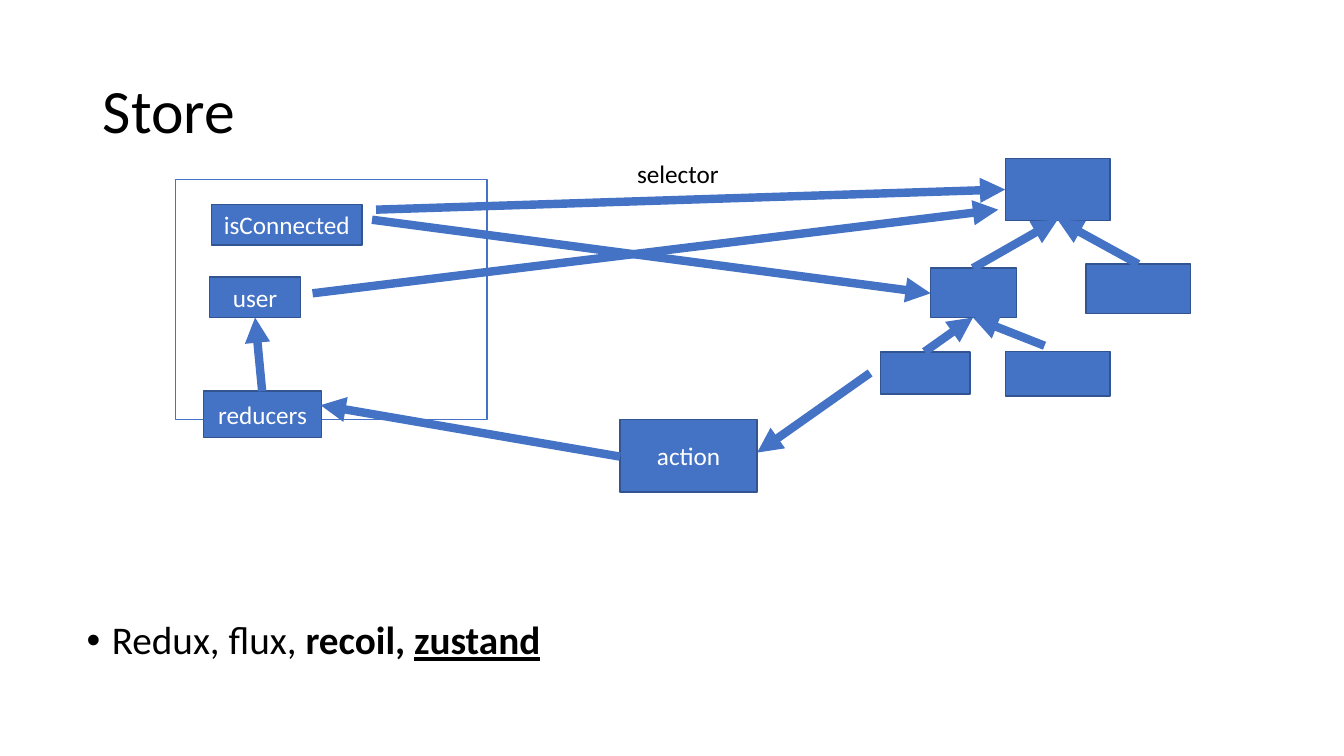
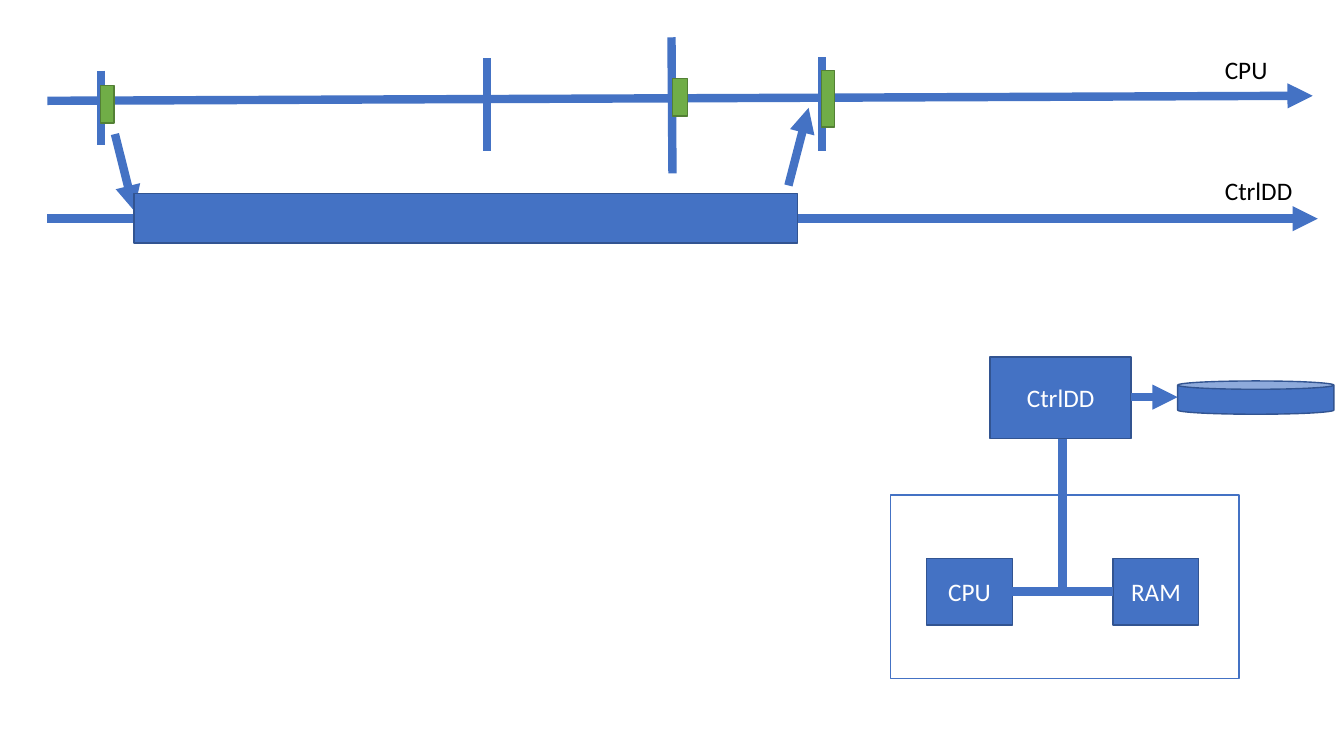
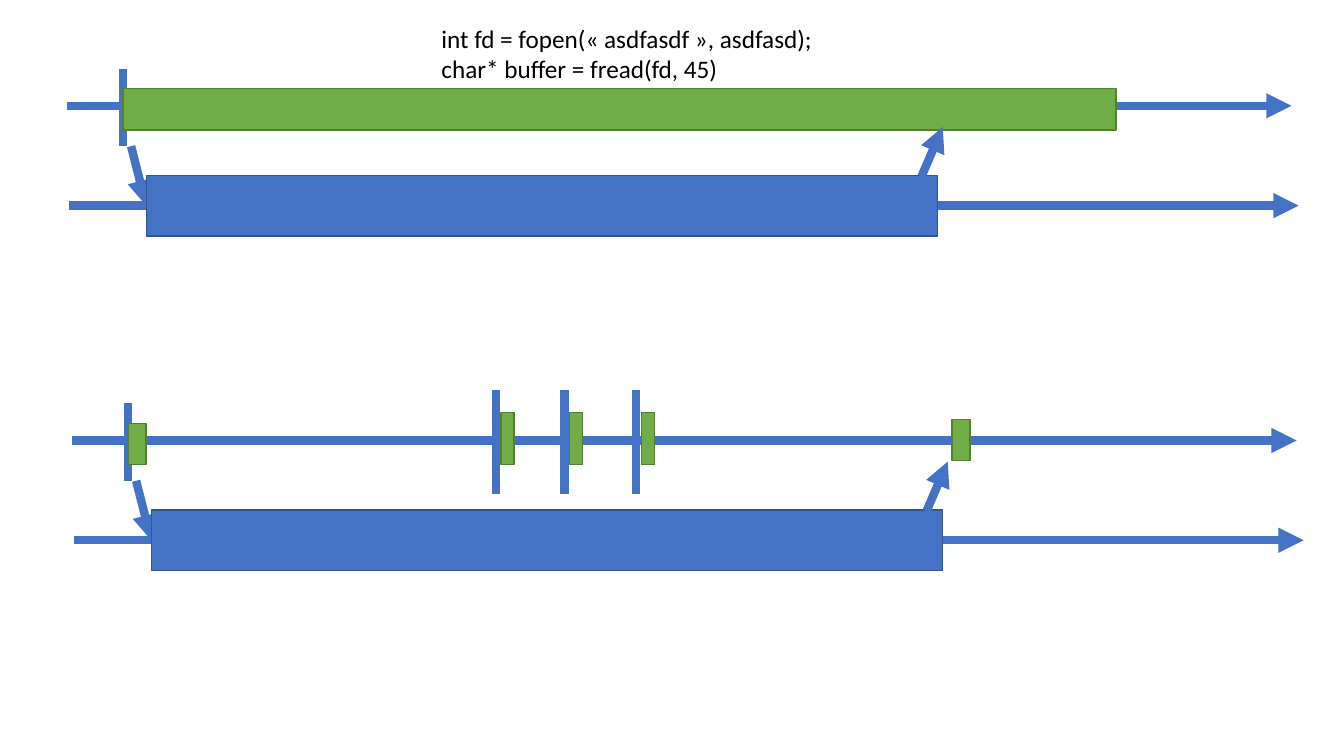
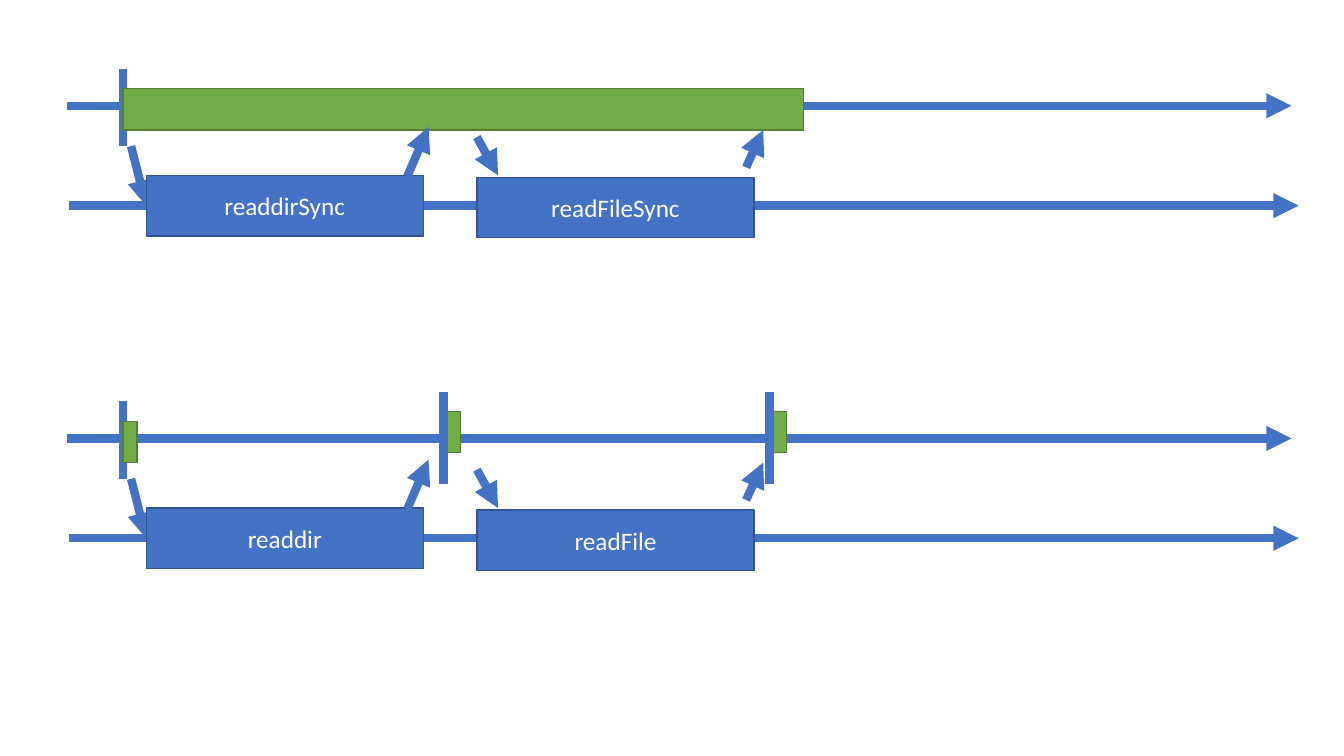
from lxml.etree import SubElement
from pptx import Presentation
from pptx.dml.color import RGBColor
from pptx.enum.shapes import MSO_CONNECTOR as Connector, MSO_SHAPE as Shape
from pptx.enum.text import MSO_ANCHOR as Anchor, MSO_AUTO_SIZE as AutoSize, PP_ALIGN as Align
from pptx.oxml.ns import qn
from pptx.util import Inches, Pt

COLORS = {
    "blue": "4472C4",
    "blue_edge": "325491",
    "green": "70AD47",
    "green_edge": "538035",
    "white": "FFFFFF",
    "black": "000000",
}
FONT = "Calibri"
TITLE_ONLY_CONTENT, BLANK = 1, 6


def color(name):
    """Return the named colour."""
    return RGBColor.from_string(COLORS[name])


def style_paragraph(paragraph, size, color_name, align=Align.LEFT):
    """Set the font and alignment of a paragraph."""
    paragraph.font.name = FONT
    paragraph.font.size = Pt(size)
    paragraph.font.color.rgb = color(color_name)
    paragraph.alignment = align


def place(shape, left, top, width, height):
    """Move and size a shape, in inches."""
    shape.left, shape.top = Inches(left), Inches(top)
    shape.width, shape.height = Inches(width), Inches(height)


def add_box(slide, left, top, width, height, text="", fill="blue", edge="blue_edge", kind=Shape.RECTANGLE):
    """Add a filled shape with an optional centred label."""
    shape = slide.shapes.add_shape(kind, Inches(left), Inches(top), Inches(width), Inches(height))
    shape.shadow.inherit = False
    shape.fill.solid()
    shape.fill.fore_color.rgb = color(fill)
    shape.line.color.rgb = color(edge)
    shape.line.width = Pt(1)
    if text:
        frame = shape.text_frame
        frame.text = text
        frame.vertical_anchor = Anchor.MIDDLE
        style_paragraph(frame.paragraphs[0], 18, "white", Align.CENTER)


def add_frame(slide, left, top, width, height):
    """Add a white box with a blue outline."""
    add_box(slide, left, top, width, height, fill="white", edge="blue")


def add_work(slide, left, top, width, height):
    """Add a green bar of processor time."""
    add_box(slide, left, top, width, height, fill="green", edge="green_edge")


def add_line(slide, x1, y1, x2, y2):
    """Add a thick blue line and return it."""
    line = slide.shapes.add_connector(Connector.STRAIGHT, Inches(x1), Inches(y1), Inches(x2), Inches(y2))
    line.line.color.rgb = color("blue")
    line.line.width = Pt(6)
    SubElement(line._element.spPr, qn("a:effectLst"))
    return line


def add_arrow(slide, x1, y1, x2, y2):
    """Add a thick blue line with an arrowhead at its end."""
    outline = add_line(slide, x1, y1, x2, y2)._element.spPr.find(qn("a:ln"))
    SubElement(outline, qn("a:tailEnd"), type="triangle")


def add_tick(slide, x, top, bottom):
    """Add a vertical event mark."""
    add_line(slide, x, top, x, bottom)


def add_label(slide, left, top, width, height, *lines):
    """Add unwrapped black text, one paragraph a line."""
    frame = slide.shapes.add_textbox(Inches(left), Inches(top), Inches(width), Inches(height)).text_frame
    frame.word_wrap = False
    frame.auto_size = AutoSize.SHAPE_TO_FIT_TEXT
    frame.text = "\n".join(lines)
    for paragraph in frame.paragraphs:
        style_paragraph(paragraph, 18, "black")


def add_timelines(slide, left, top, work_width, block_width, text=""):
    """Add a processor and a disk timeline with the first request and its reply."""
    add_arrow(slide, left, top, left + 12.15, top)
    add_arrow(slide, left + 0.02, top + 0.99, left + 12.22, top + 0.99)
    add_tick(slide, left + 0.56, top - 0.37, top + 0.4)
    add_work(slide, left + 0.56, top - 0.17, work_width, 0.41)
    add_arrow(slide, left + 0.64, top + 0.4, left + 0.79, top + 0.99)
    add_box(slide, left + 0.79, top + 0.69, block_width, 0.6, text)
    reply = left + block_width + 0.66
    add_arrow(slide, reply - 0.03, top + 0.7, reply + 0.18, top + 0.21)


def add_file_reading(slide, top, work_width, first_call, second_call):
    """Add timelines where two disk calls follow each other."""
    add_timelines(slide, 0.66, top, work_width, 2.75, first_call)
    add_box(slide, 4.73, top + 0.71, 2.75, 0.6, second_call)
    add_arrow(slide, 4.73, top + 0.31, 4.94, top + 0.69)
    add_arrow(slide, 7.4, top + 0.61, 7.57, top + 0.24)


def build_store(presentation):
    """Build the store diagram slide."""
    slide = presentation.slides.add_slide(presentation.slide_layouts[TITLE_ONLY_CONTENT])
    title, body = slide.placeholders
    place(title, 0.92, 0.4, 11.5, 1.45)
    title.text_frame.text = "Store"
    title.text_frame.vertical_anchor = Anchor.MIDDLE
    heading = title.text_frame.paragraphs[0]
    style_paragraph(heading, 44, "black")
    heading.line_spacing = 0.9

    place(body, 0.76, 6.11, 5.01, 0.67)
    libraries = body.text_frame.paragraphs[0]
    style_paragraph(libraries, 28, "black")
    libraries.line_spacing = 0.9
    libraries.space_before = Pt(10)
    properties = libraries._p.get_or_add_pPr()
    properties.set("marL", str(Inches(0.25)))
    properties.set("indent", str(Inches(-0.25)))
    for text, bold, underline in (("Redux, flux, ", False, False), ("recoil, ", True, False), ("zustand", True, True)):
        run = libraries.add_run()
        run.text = text
        run.font.bold = bold
        run.font.underline = underline

    add_frame(slide, 1.74, 1.78, 3.09, 2.38)
    for box in (
        (9.97, 1.57, 1.04, 0.62),
        (9.23, 2.66, 0.85, 0.49),
        (10.77, 2.62, 1.04, 0.49),
        (8.73, 3.49, 0.89, 0.42),
        (9.97, 3.49, 1.04, 0.44),
        (2.1, 2.03, 1.49, 0.4, "isConnected"),
        (2.08, 2.75, 0.9, 0.4, "user"),
        (6.15, 4.16, 1.36, 0.72, "action"),
        (2.02, 3.88, 1.17, 0.46, "reducers"),
    ):
        add_box(slide, *box)
    for arrow in (
        (9.17, 3.49, 9.65, 3.15),
        (9.65, 2.66, 10.49, 2.18),
        (10.36, 3.43, 9.65, 3.15),
        (11.29, 2.62, 10.49, 2.18),
        (3.69, 2.18, 9.23, 2.91),
        (3.73, 2.08, 9.97, 1.88),
        (8.63, 3.7, 7.51, 4.49),
        (6.15, 4.53, 3.18, 4.02),
        (3.1, 2.91, 9.9, 2.08),
        (2.6, 3.88, 2.53, 3.15),
    ):
        add_arrow(slide, *arrow)
    add_label(slide, 6.22, 1.52, 1.02, 0.4, "selector")


def build_controller(slide):
    """Build the disk controller slide."""
    add_arrow(slide, 0.47, 1, 13.02, 0.95)
    add_tick(slide, 1, 0.7, 1.44)
    add_tick(slide, 4.83, 0.58, 1.5)
    add_line(slide, 6.66, 0.37, 6.67, 1.72)
    add_tick(slide, 8.15, 0.57, 1.5)
    for work in ((1, 0.85, 0.13, 0.37), (6.67, 0.78, 0.15, 0.37), (8.15, 0.7, 0.13, 0.56)):
        add_work(slide, *work)
    add_arrow(slide, 0.47, 2.17, 13.07, 2.17)
    add_arrow(slide, 1.14, 1.33, 1.33, 2.09)
    add_box(slide, 1.33, 1.92, 6.58, 0.49)
    add_arrow(slide, 7.82, 1.84, 8.02, 1.07)
    add_label(slide, 12.05, 0.49, 0.63, 0.4, "CPU")
    add_label(slide, 12.05, 1.69, 0.88, 0.4, "CtrlDD")

    add_frame(slide, 8.83, 4.91, 3.46, 1.82)
    add_box(slide, 9.19, 5.54, 0.85, 0.66, "CPU")
    add_box(slide, 11.04, 5.54, 0.85, 0.66, "RAM")
    add_line(slide, 10.04, 5.87, 11.04, 5.87)
    add_tick(slide, 10.54, 4.32, 5.87)
    add_box(slide, 9.82, 3.54, 1.4, 0.81, "CtrlDD")
    add_box(slide, 11.68, 3.78, 1.55, 0.33, kind=Shape.CAN)
    add_arrow(slide, 11.22, 3.94, 11.68, 3.94)


def build_blocking(slide):
    """Build the slide that compares blocking and non-blocking reads."""
    add_timelines(slide, 0.66, 1.05, 9.85, 7.85)
    add_label(
        slide, 4.28, 0.18, 3.93, 0.71,
        "int fd = fopen(« asdfasdf », asdfasd);",
        "char* buffer = fread(fd, 45)",
    )
    add_timelines(slide, 0.71, 4.37, 0.18, 7.85)
    add_work(slide, 9.44, 4.16, 0.18, 0.41)
    for x in (4.92, 5.6, 6.31):
        add_tick(slide, x, 3.87, 4.9)
        add_work(slide, x + 0.05, 4.09, 0.13, 0.52)


def build_calls(slide):
    """Build the slide that compares synchronous and asynchronous calls."""
    add_file_reading(slide, 1.05, 6.75, "readdirSync", "readFileSync")
    add_file_reading(slide, 4.35, 0.14, "readdir", "readFile")
    for x in (4.4, 7.63):
        add_work(slide, x + 0.03, 4.08, 0.14, 0.41)
        add_tick(slide, x, 3.89, 4.8)


def main():
    """Build and save the presentation."""
    presentation = Presentation()
    presentation.slide_width = Inches(13.33)
    presentation.slide_height = Inches(7.5)
    build_store(presentation)
    for build in (build_controller, build_blocking, build_calls):
        build(presentation.slides.add_slide(presentation.slide_layouts[BLANK]))
    presentation.save("out.pptx")


if __name__ == "__main__":
    main()
